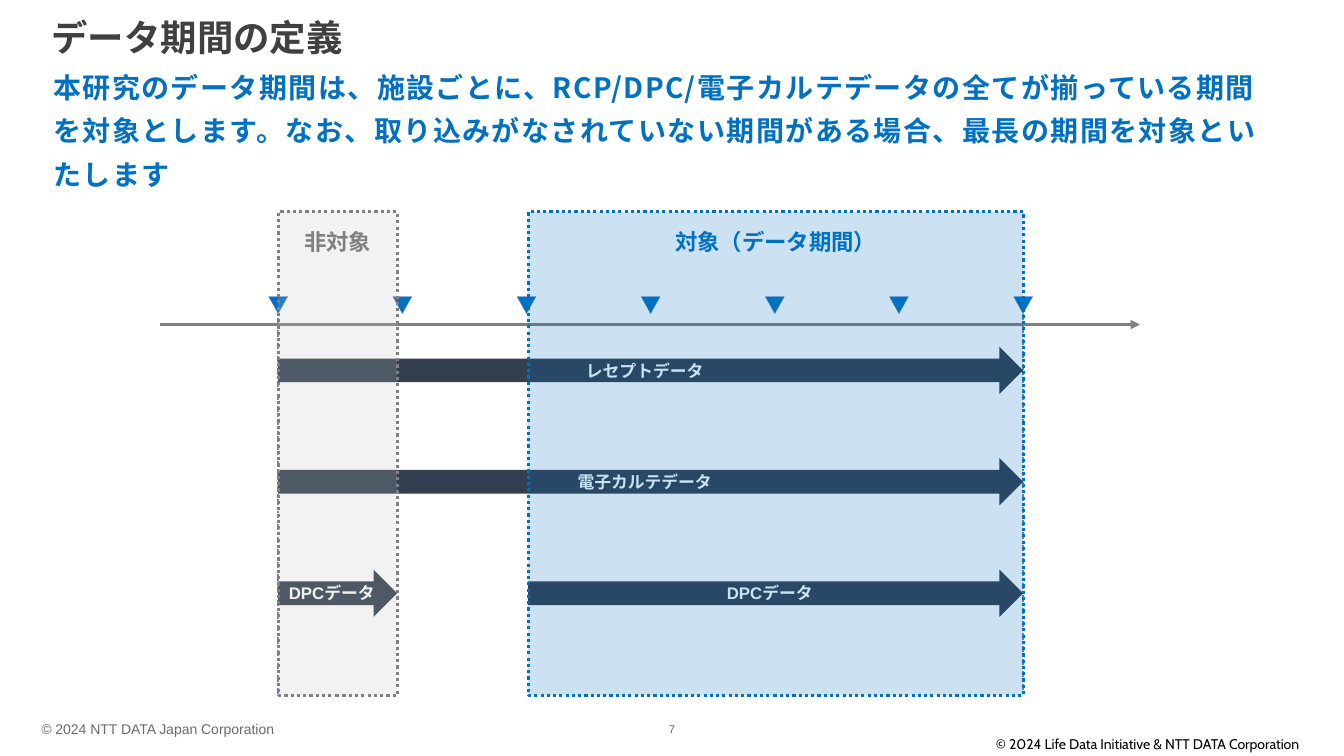
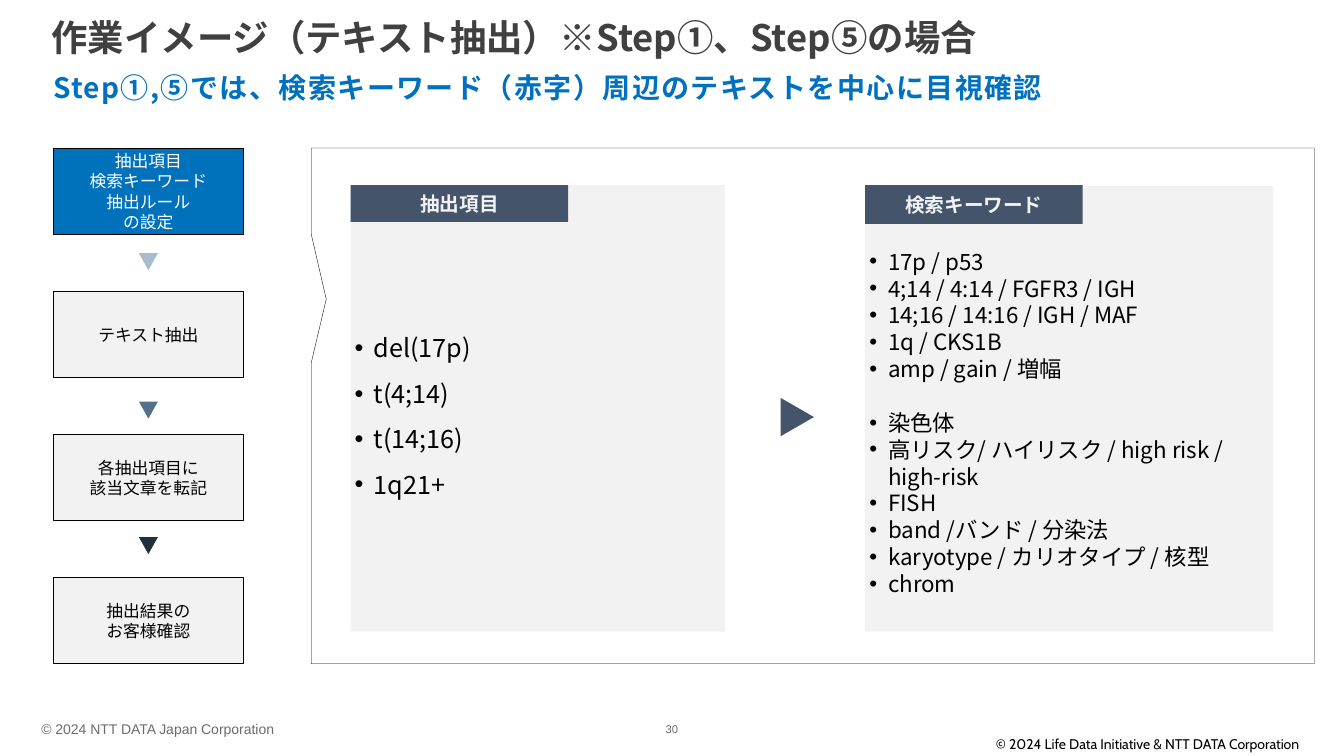
from lxml import etree
from pptx import Presentation, util as u
from pptx.dml.color import RGBColor
from pptx.enum import dml, shapes, text
from pptx.oxml import ns

Pt = u.Pt
SHAPE = shapes.MSO_SHAPE
ALIGN = text.PP_ALIGN
ANCHOR = text.MSO_ANCHOR
ARIAL, CABIN, NOTO = "Arial", "Cabin", "Noto Sans CJK JP"
BLACK = RGBColor(0x00, 0x00, 0x00)
WHITE = RGBColor(0xFF, 0xFF, 0xFF)
TITLE_GRAY = RGBColor(0x40, 0x40, 0x40)
FOOTER_GRAY = RGBColor(0x6B, 0x6B, 0x6B)
GRAY = RGBColor(0x80, 0x80, 0x80)
SILVER = RGBColor(0xBF, 0xBF, 0xBF)
PALE = RGBColor(0xF2, 0xF2, 0xF2)
BLUE = RGBColor(0x00, 0x70, 0xC0)
STEP_BLUE = RGBColor(0x00, 0x72, 0xBC)
OUTLINE_BLUE = RGBColor(0x67, 0x85, 0xC1)
NAVY = RGBColor(0x33, 0x3F, 0x4F)
SLATE = RGBColor(0x44, 0x54, 0x6A)
FLOW_COLORS = [RGBColor(0xA9, 0xBC, 0xCB), RGBColor(0x52, 0x71, 0x88), RGBColor(0x22, 0x30, 0x3A)]


def write(shape, content, size=12, font=ARIAL, color=BLACK, bold=False, align=ALIGN.CENTER,
          anchor=ANCHOR.MIDDLE, insets=(2.9, 2.9, 2.9, 2.9), line_spacing=None,
          tracking=None, bullet=False, gap_before=None, gap=0):
    frame = shape.text_frame
    frame.word_wrap = True
    frame.auto_size = text.MSO_AUTO_SIZE.NONE
    frame.vertical_anchor = anchor
    frame.margin_left, frame.margin_top, frame.margin_right, frame.margin_bottom = map(Pt, insets)
    for index, line in enumerate(content.split("\n")):
        paragraph = frame.add_paragraph() if index else frame.paragraphs[0]
        if bullet:
            properties = paragraph._p.get_or_add_pPr()
            properties.set("marL", str(Pt(13.5)))
            properties.set("indent", str(-Pt(13.5)))
            etree.SubElement(properties, ns.qn("a:buFont")).set("typeface", ARIAL)
            etree.SubElement(properties, ns.qn("a:buChar")).set("char", "•")
        paragraph.alignment = align
        if line_spacing:
            paragraph.line_spacing = line_spacing
        if line == gap_before:
            paragraph.space_before = Pt(gap)
        run = paragraph.add_run()
        run.text = line
        run.font.name = font
        run.font.size = Pt(size)
        run.font.bold = bold
        run.font.color.rgb = color
        run_properties = run._r.get_or_add_rPr()
        etree.SubElement(run_properties, ns.qn("a:ea")).set("typeface", NOTO)
        if tracking:
            run_properties.set("spc", str(tracking * 100))


def draw(slide, kind, left, top, width, height, fill, line=None, weight=0.25,
         opacity=None, dotted=False, rotation=0):
    shape = slide.shapes.add_shape(kind, Pt(left), Pt(top), Pt(width), Pt(height))
    shape.shadow.inherit = False
    shape.rotation = rotation
    shape.fill.solid()
    shape.fill.fore_color.rgb = fill
    if opacity:
        fill_color = shape._element.spPr.find(ns.qn("a:solidFill"))[0]
        etree.SubElement(fill_color, ns.qn("a:alpha")).set("val", str(opacity * 1000))
    if line is None:
        shape.line.fill.background()
    else:
        shape.line.color.rgb = line
        shape.line.width = Pt(weight)
    if dotted:
        shape.line.dash_style = dml.MSO_LINE.ROUND_DOT
    return shape


presentation = Presentation()
presentation.slide_width = Pt(960)
presentation.slide_height = Pt(540)

PAGES = [
    ("データ期間の定義",
     "本研究のデータ期間は、施設ごとに、RCP/DPC/電子カルテデータの全てが揃っている期間を対象とします。"
     "なお、取り込みがなされていない期間がある場合、最長の期間を対象といたします", "7"),
    ("作業イメージ（テキスト抽出）※Step①、Step⑤の場合",
     "Step①,⑤では、検索キーワード（赤字）周辺のテキストを中心に目視確認", "30"),
]
for title, lead, number in PAGES:
    slide = presentation.slides.add_slide(presentation.slide_layouts[5])
    heading = slide.shapes.title
    heading.left, heading.top, heading.width, heading.height = Pt(29.5), Pt(11), Pt(901), Pt(32)
    write(heading, title, size=26, font=NOTO, color=TITLE_GRAY, bold=True, align=ALIGN.LEFT,
          anchor=ANCHOR.TOP, insets=(7.2, 0, 7.2, 0))
    lead_box = slide.shapes.add_textbox(Pt(38), Pt(37), Pt(881), Pt(40))
    write(lead_box, lead, size=20, font=NOTO, color=BLUE, bold=True, align=ALIGN.LEFT,
          anchor=ANCHOR.TOP, insets=(0, 5.8, 5.8, 5.8), line_spacing=1.3, tracking=1)
    for content, left, top, width, height, size, font, color, align in [
        ("© 2024 NTT DATA Japan Corporation", 29.5, 517, 382, 7.2, 10, ARIAL, FOOTER_GRAY, ALIGN.LEFT),
        ("© 2024 Life Data Initiative & NTT DATA Corporation", 695.5, 522, 232.5, 19.4, 10, CABIN, BLACK,
         ALIGN.RIGHT),
        (number, 468, 517, 24, 7.2, 8, ARIAL, FOOTER_GRAY, ALIGN.CENTER),
    ]:
        footer = slide.shapes.add_textbox(Pt(left), Pt(top), Pt(width), Pt(height))
        write(footer, content, size=size, font=font, color=color, align=align, insets=(0, 0, 0, 0))

period_slide, extraction_slide = presentation.slides

START, END, TARGET = 198.7, 730.8, 377.3
EXCLUDED_WIDTH = 85
BAND_TOP, BAND_BOTTOM = 151.2, 496.8
MONTH_STEP = (END - START) / 6

for x1, y1, x2, y2, color, weight, is_axis in [
    (114.5, 231.8, 814.3, 231.8, GRAY, 2.25, True),
    (START, 224, START, BAND_BOTTOM, OUTLINE_BLUE, 1.5, False),
    (END, 224, END, BAND_BOTTOM, OUTLINE_BLUE, 1.5, False),
]:
    connector = period_slide.shapes.add_connector(
        shapes.MSO_CONNECTOR.STRAIGHT, Pt(x1), Pt(y1), Pt(x2), Pt(y2))
    connector.line.color.rgb = color
    connector.line.width = Pt(weight)
    if is_axis:
        line_element = connector.line._get_or_add_ln()
        etree.SubElement(line_element, ns.qn("a:tailEnd")).set("type", "triangle")
    else:
        connector.line.dash_style = dml.MSO_LINE.ROUND_DOT
    etree.SubElement(connector._element.spPr, ns.qn("a:effectLst"))

for month in range(7):
    draw(period_slide, SHAPE.ISOSCELES_TRIANGLE, START + month * MONTH_STEP - 6.8, 211.8, 13.6, 12.2,
         BLUE, OUTLINE_BLUE, rotation=180)

for label, row, left, right in [
    ("レセプトデータ", 0, START, END),
    ("電子カルテデータ", 1, START, END),
    ("DPCデータ", 2, TARGET, END),
    ("DPCデータ", 2, START, START + EXCLUDED_WIDTH),
]:
    arrow = draw(period_slide, SHAPE.RIGHT_ARROW, left, 247.7 + row * 79.6, right - left, 33.8, NAVY)
    write(arrow, label, color=WHITE, bold=True)

for label, left, right, fill, color in [
    ("対象（データ期間）", TARGET, END, BLUE, BLUE),
    ("非対象", START, START + EXCLUDED_WIDTH, SILVER, GRAY),
]:
    band = draw(period_slide, SHAPE.RECTANGLE, left, BAND_TOP, right - left, BAND_BOTTOM - BAND_TOP,
                fill, color, weight=2.25, opacity=20, dotted=True)
    write(band, label, size=16, color=color, bold=True, anchor=ANCHOR.TOP, insets=(2.9, 11.5, 2.9, 2.9))

STEPS = ["抽出項目\n検索キーワード\n抽出ルール\nの設定", "テキスト抽出",
         "各抽出項目に\n該当文章を転記", "抽出結果の\nお客様確認"]
for index, label in enumerate(STEPS):
    fill, color = (PALE, BLACK) if index else (STEP_BLUE, WHITE)
    step = draw(extraction_slide, SHAPE.RECTANGLE, 38, 106 + index * 102.2, 136, 61.4, fill, BLACK)
    write(step, label, color=color)

for top, color in zip((180.8, 286.8, 383.6), FLOW_COLORS):
    draw(extraction_slide, SHAPE.ISOSCELES_TRIANGLE, 99.2, top, 13.6, 12.2, color, rotation=180)

callout = draw(extraction_slide, SHAPE.RECTANGULAR_CALLOUT, 222.3, 105.8, 716.5, 368.4, WHITE, BLACK)
callout.adjustments[0] = -0.485
callout.adjustments[1] = -0.207

ITEMS = "del(17p)\nt(4;14)\nt(14;16)\n1q21+"
KEYWORDS = """17p / p53
4;14 / 4:14 / FGFR3 / IGH
14;16 / 14:16 / IGH / MAF
1q / CKS1B
amp / gain / 増幅
染色体
高リスク/ ハイリスク / high risk / high-risk
FISH
band /バンド / 分染法
karyotype / カリオタイプ / 核型
chrom"""
for label, content, left, top, width, header_height, size, spacing, top_inset in [
    ("抽出項目", ITEMS, 250.5, 132.3, 267.3, 26.2, 18, 1.5, 2.9),
    ("検索キーワード", KEYWORDS, 618, 133, 291.5, 27.6, 16, 1, 22.1),
]:
    panel = draw(extraction_slide, SHAPE.RECTANGLE, left, top, width, 451.2 - top, PALE)
    write(panel, content, size=size, font=NOTO, align=ALIGN.LEFT, insets=(2.9, top_inset, 2.9, 2.9),
          line_spacing=spacing, bullet=True, gap_before="染色体", gap=19.2)
    header = draw(extraction_slide, SHAPE.RECTANGLE, left, 132.3, 155.4, header_height, SLATE)
    write(header, label, size=14, color=PALE, bold=True)

draw(extraction_slide, SHAPE.ISOSCELES_TRIANGLE, 555.8, 286, 27.4, 23.8, SLATE, rotation=90)

presentation.save("out.pptx")
